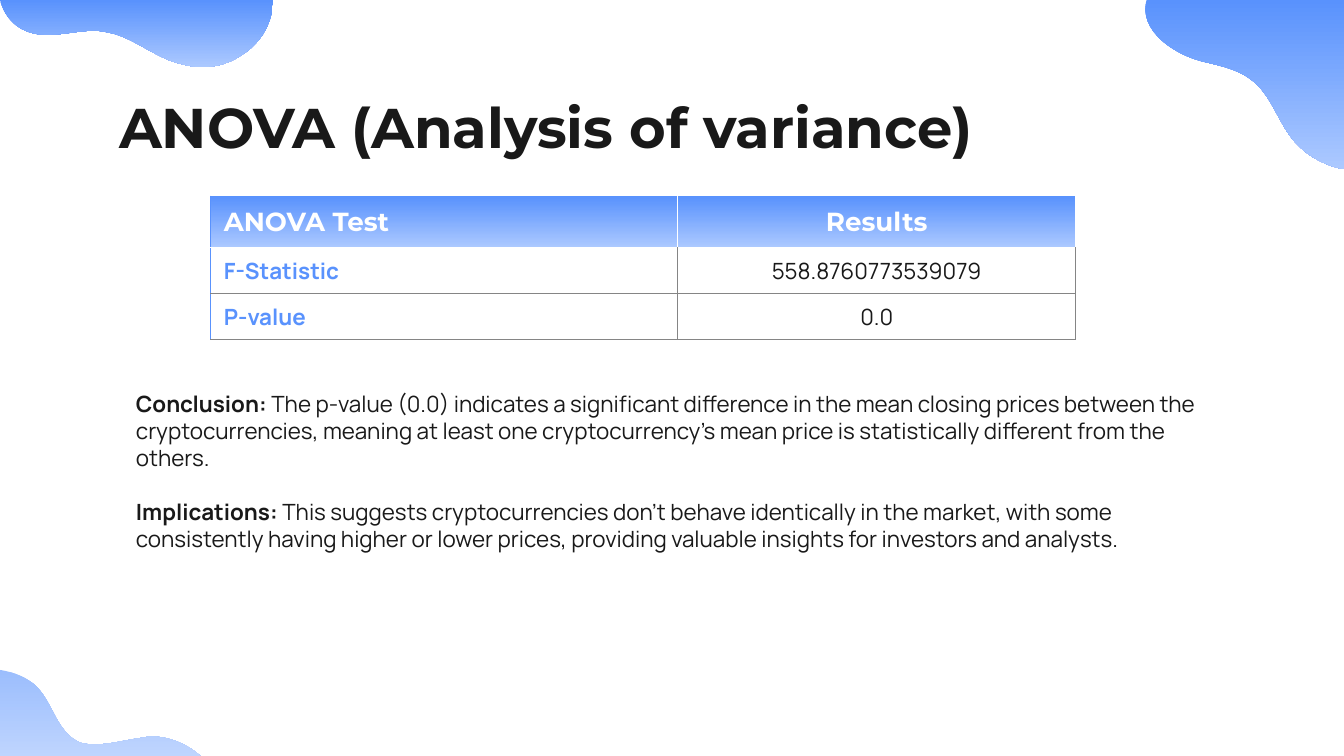
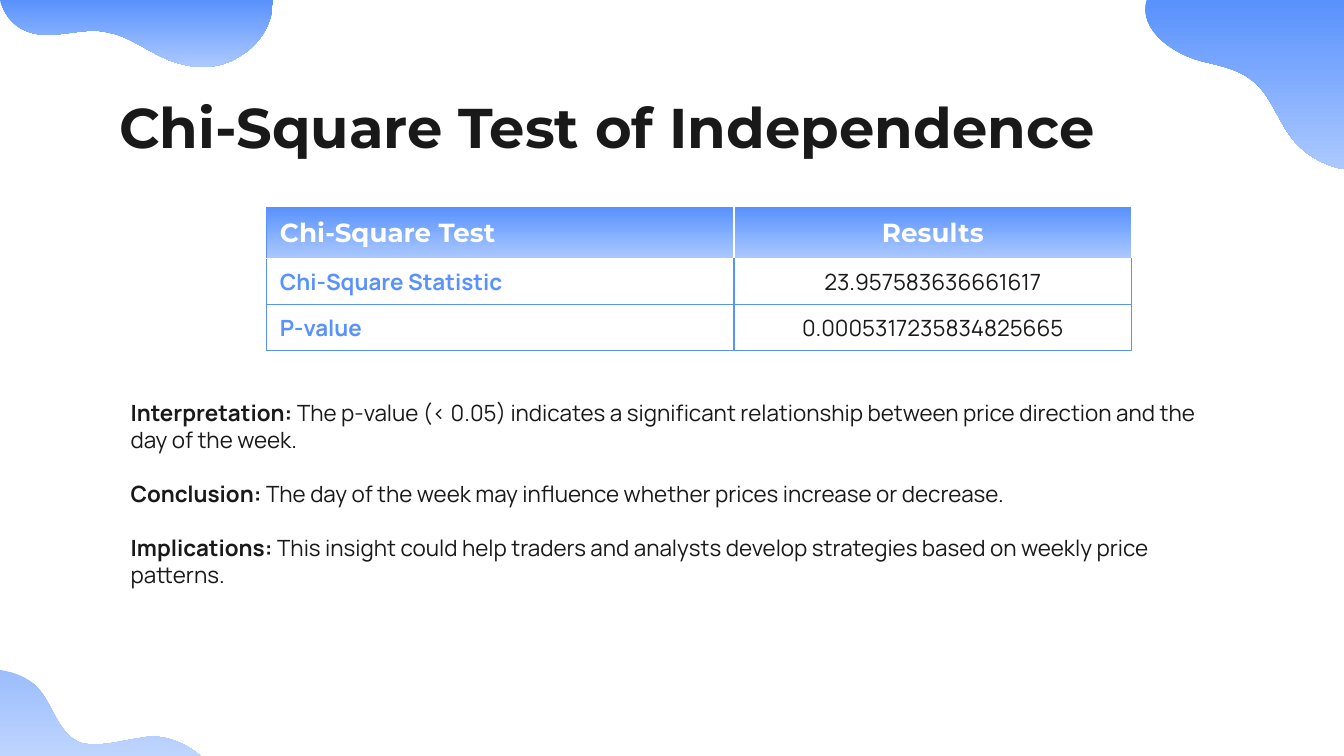
"""Build two slides on statistical tests of cryptocurrency prices."""
from lxml.etree import SubElement as Sub
from pptx import Presentation
from pptx.dml.color import RGBColor
from pptx.enum.text import MSO_ANCHOR as Anchor, PP_ALIGN as Align
from pptx.oxml import parse_xml
from pptx.oxml.ns import nsdecls, qn
from pptx.util import Cm, Pt

BLUE, PALE, INK, WHITE, GREY = "5992FD", "ACC9FF", "191919", "FFFFFF", "858585"
HEAD, BODY = "Montserrat", "Manrope"
COLS, ROWS = (8.83, 7.52), (0.97, 0.87, 0.87)

LEFT = [(0, 0), (0.1, 0.36, 0.38, 0.66, 0.89, 0.66),
        (0.89, 0.66, 0.89, 0.66, 0.89, 0.66),
        (1.19, 0.66, 1.5, 0.58, 1.78, 0.58),
        (1.9, 0.58, 2.03, 0.61, 2.16, 0.64),
        (2.56, 0.76, 2.9, 1.04, 3.28, 1.17),
        (3.45, 1.22, 3.63, 1.27, 3.81, 1.27),
        (4.09, 1.27, 4.37, 1.19, 4.6, 1.02),
        (4.95, 0.79, 5.16, 0.41, 5.16, 0)]
FOOT = [(-0.2, 12.65), (-0.23, 12.65, -0.23, 12.65, -0.23, 12.65),
        (-0.23, 14.94), (4.19, 14.94),
        (4.17, 14.83, 4.11, 14.76, 4.09, 14.68),
        (3.86, 14.22, 3.35, 13.92, 2.84, 13.92),
        (2.82, 13.92, 2.77, 13.92, 2.74, 13.94),
        (2.44, 13.97, 2.11, 14.07, 1.83, 14.07),
        (1.7, 14.07, 1.57, 14.07, 1.47, 14.02),
        (1.04, 13.79, 0.99, 13.23, 0.64, 12.93),
        (0.41, 12.75, 0.1, 12.65, -0.2, 12.65)]
RIGHT = [(25.4, 0), (25.4, 3.2), (24.99, 3.12, 24.61, 2.9, 24.36, 2.54),
         (24.13, 2.21, 24, 1.8, 23.7, 1.55),
         (23.44, 1.32, 23.09, 1.25, 22.76, 1.17),
         (22.2, 1.04, 21.51, 0.58, 21.67, 0)]


def tint(code):
    """Turn a hex string into a colour."""
    return RGBColor.from_string(code)


def write(para, text, size=12, font=BODY, color=INK, bold=False):
    """Add a run of formatted text to a paragraph."""
    run = para.add_run()
    run.text = text
    run.font.size = Pt(size)
    run.font.name = font
    run.font.bold = bold
    run.font.color.rgb = tint(color)


def fade(fill):
    """Fill with the blue gradient, dark at the top."""
    fill.gradient()
    fill.gradient_angle = 270
    for stop, code, place in zip(fill.gradient_stops, (BLUE, PALE), (0, 1)):
        stop.color.rgb = tint(code)
        stop.position = place


def bend(shape, steps):
    """Merge each three lines that stand for a curve into one cubic curve."""
    lines = iter(list(shape._element.iter(qn("a:lnTo"))))
    for step in steps[1:]:
        line = next(lines)
        if len(step) == 6:
            curve = parse_xml(f'<a:cubicBezTo {nsdecls("a")}/>')
            line.addprevious(curve)
            for part in (line, next(lines), next(lines)):
                curve.append(part[0])
                part.getparent().remove(part)


def blob(slide, steps, alpha=100):
    """Draw a wavy corner shape and return it."""
    first, *rest = [(Cm(step[i]), Cm(step[i + 1]))
                    for step in steps for i in range(0, len(step), 2)]
    pen = slide.shapes.build_freeform(*first)
    pen.add_line_segments(rest, close=True)
    shape = pen.convert_to_shape()
    bend(shape, steps)
    shape.shadow.inherit = False
    fade(shape.fill)
    if alpha < 100:
        for color in shape._element.spPr.iter(qn("a:srgbClr")):
            Sub(color, qn("a:alpha"), val=str(alpha * 1000))
    shape.line.fill.background()
    return shape


def adorn(slide):
    """Put the corner shapes on the layout that the slides share."""
    layout = slide.slide_layout
    for holder in list(layout.placeholders):
        layout.shapes.element.remove(holder.element)
    for steps, alpha in ((LEFT, 100), (FOOT, 60), (RIGHT, 100)):
        layout.shapes.element.append(blob(slide, steps, alpha).element)
    for number, shape in enumerate(layout.shapes, 2):
        shape.element.nvSpPr.cNvPr.set("id", str(number))


def box(slide, left, top, width, height):
    """Add a wrapping text box and return its frame."""
    frame = slide.shapes.add_textbox(Cm(left), Cm(top), Cm(width), Cm(height)).text_frame
    frame.word_wrap = True
    frame.margin_left = frame.margin_right = Cm(0.25)
    frame.margin_top = frame.margin_bottom = Cm(0.25)
    return frame


def edge(cell, **sides):
    """Set the left, right, top and bottom borders of a cell."""
    props = cell._tc.get_or_add_tcPr()
    for spot, side in enumerate("LRTB"):
        props.insert(spot, parse_xml(
            f'<a:ln{side} w="9525" {nsdecls("a")}><a:solidFill>'
            f'<a:srgbClr val="{sides[side]}"/></a:solidFill></a:ln{side}>'))


def grid(slide, left, top, rows, rule):
    """Draw a results table with a gradient header row."""
    table = slide.shapes.add_table(len(rows), len(COLS), Cm(left), Cm(top),
                                   Cm(sum(COLS)), Cm(sum(ROWS))).table
    table.first_row = table.horz_banding = False
    for col, width in zip(table.columns, COLS):
        col.width = Cm(width)
    for r, row in enumerate(rows):
        table.rows[r].height = Cm(ROWS[r])
        for c, text in enumerate(row):
            cell = table.cell(r, c)
            cell.vertical_anchor = Anchor.MIDDLE
            cell.margin_left = cell.margin_right = Cm(0 if r and c else 0.25)
            cell.margin_top = cell.margin_bottom = Cm(0 if r else 0.18)
            para = cell.text_frame.paragraphs[0]
            para.alignment = Align.CENTER if c else Align.LEFT
            if r == 0:
                write(para, text, size=14, font=HEAD, color=WHITE, bold=True)
                fade(cell.fill)
                edge(cell, L=WHITE if c else BLUE, R=WHITE, T=BLUE, B=WHITE)
            else:
                write(para, text, color=INK if c else BLUE, bold=c == 0)
                cell.fill.background()
                edge(cell, L=rule if c else BLUE, R=rule,
                     T=WHITE if r == 1 else rule, B=rule)


def notes(slide, place, items):
    """Write paragraphs that each open with a bold label."""
    frame = box(slide, *place)
    for i, (label, text) in enumerate(items):
        para = frame.add_paragraph() if i else frame.paragraphs[0]
        if i:
            para.space_before = Pt(14.6)
        write(para, label, bold=True)
        write(para, text)


def page(deck, title):
    """Add a slide with its title."""
    slide = deck.slides.add_slide(deck.slide_layouts[6])
    write(box(slide, 2, 1.5, 21.4, 1.6).paragraphs[0], title,
          size=30, font=HEAD, bold=True)
    return slide


def main():
    """Build and save the deck."""
    deck = Presentation()
    deck.slide_width, deck.slide_height = Cm(25.4), Cm(14.29)

    slide = page(deck, "ANOVA (Analysis of variance)")
    adorn(slide)
    grid(slide, 3.98, 3.71, [("ANOVA Test", "Results"),
                             ("F-Statistic", "558.8760773539079"),
                             ("P-value", "0.0")], GREY)
    notes(slide, (2.32, 7.13, 20.7, 6.1), [
        ("Conclusion:", " The p-value (0.0) indicates a significant difference in the "
         "mean closing prices between the cryptocurrencies, meaning at least one "
         "cryptocurrency's mean price is statistically different from the others."),
        ("Implications:", " This suggests cryptocurrencies don't behave identically in "
         "the market, with some consistently having higher or lower prices, providing "
         "valuable insights for investors and analysts.")])

    slide = page(deck, "Chi-Square Test of Independence")
    grid(slide, 5.04, 3.92, [("Chi-Square Test", "Results"),
                             ("Chi-Square Statistic", "23.957583636661617"),
                             ("P-value", "0.0005317235834825665")], BLUE)
    notes(slide, (2.22, 7.29, 21.41, 6.07), [
        ("Interpretation: ", "The p-value (< 0.05) indicates a significant relationship "
         "between price direction and the day of the week."),
        ("Conclusion: ", "The day of the week may influence whether prices increase or "
         "decrease."),
        ("Implications: ", "This insight could help traders and analysts develop "
         "strategies based on weekly price patterns.")])

    deck.save("out.pptx")


if __name__ == "__main__":
    main()
